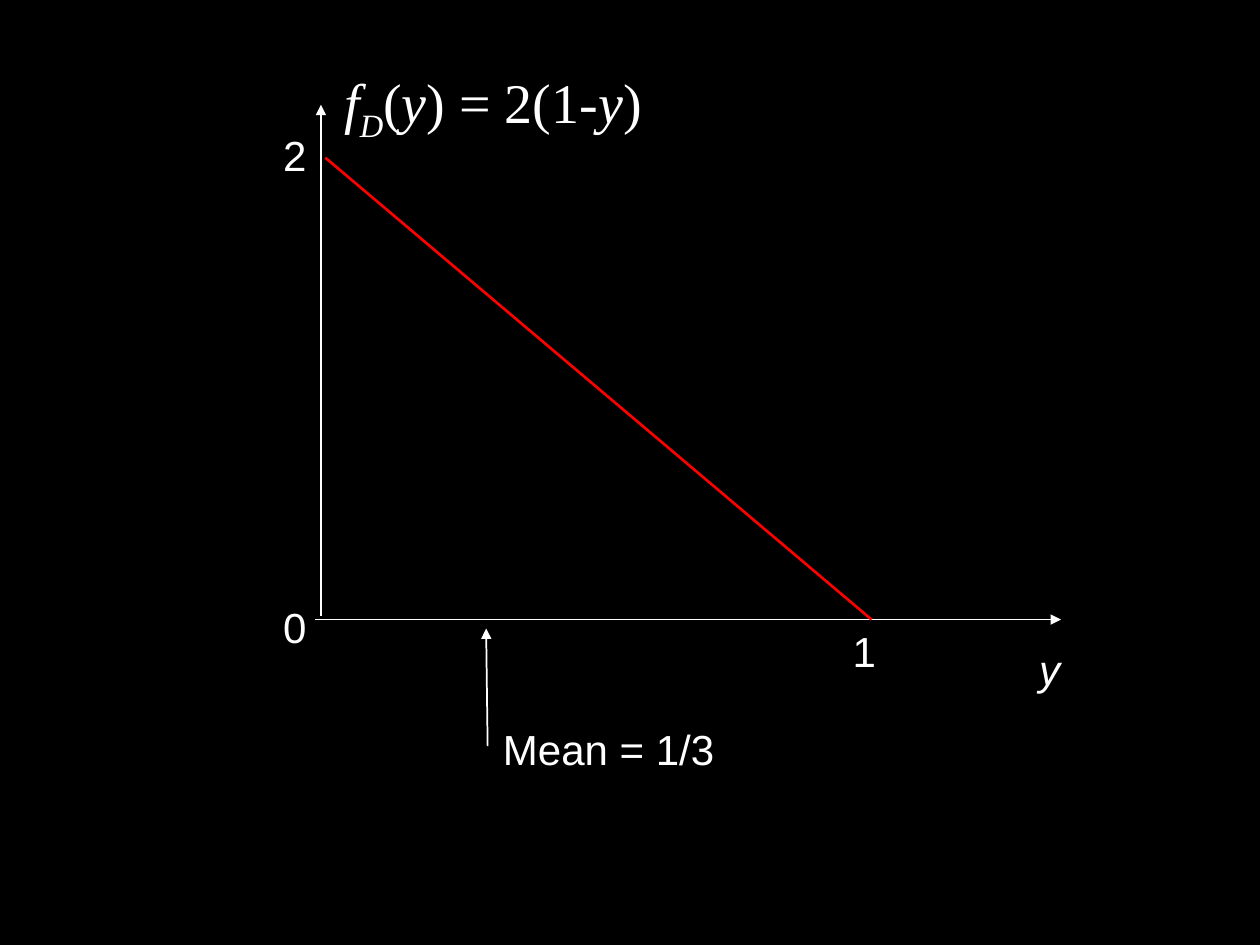
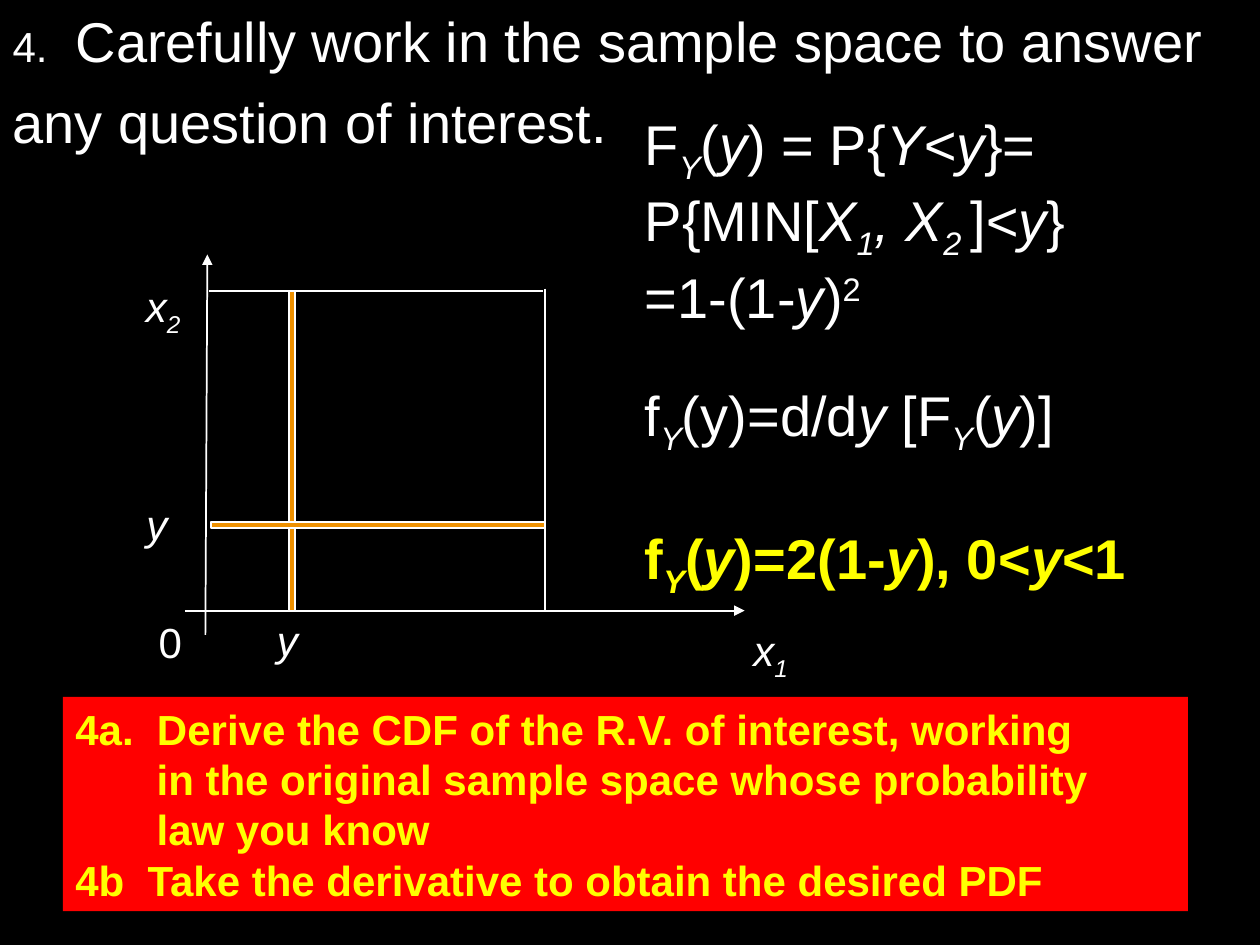
"""Build two slides on the density of the minimum of two uniform variables."""
from lxml import etree
from pptx import Presentation
from pptx.dml.color import RGBColor
from pptx.enum import shapes, text
from pptx.oxml import ns
from pptx.util import Cm, Pt

BLACK = RGBColor(0x00, 0x00, 0x00)
WHITE = RGBColor(0xFF, 0xFF, 0xFF)
RED = RGBColor(0xFF, 0x00, 0x00)
YELLOW = RGBColor(0xFF, 0xFF, 0x00)
ORANGE = RGBColor(0xEF, 0x91, 0x00)
BODY_FONT = "Arial"
FORMULA_FONT = "Times New Roman"
TITLE_ONLY, BLANK = 5, 6
BASELINES = {"_": "-25000", "^": "30000"}


def add_slide(deck, layout):
    """Add a slide with the shared black background."""
    slide = deck.slides.add_slide(deck.slide_layouts[layout])
    slide.background.fill.solid()
    slide.background.fill.fore_color.rgb = BLACK
    return slide


def child(parent, tag, **attributes):
    """Append a DrawingML element."""
    return etree.SubElement(parent, ns.qn(tag), **attributes)


def write(frame, content, size=24, color=WHITE, font=BODY_FONT, bold=False,
          before=0, indent=0, number=None):
    """Add a paragraph of runs split by |, led by / italic, _ subscript or ^ superscript."""
    paragraph = frame.paragraphs[0]
    if paragraph.runs:
        paragraph = frame.add_paragraph()
    properties = paragraph._p.get_or_add_pPr()
    if number:
        child(child(properties, "a:buClr"), "a:srgbClr", val=str(color))
        child(properties, "a:buSzPct", val="75000")
        child(properties, "a:buAutoNum", type="arabicPeriod", startAt=str(number))
    if indent:
        properties.set("marL", str(Cm(indent)))
    paragraph.alignment = text.PP_ALIGN.LEFT
    if before:
        paragraph.space_before = Pt(before)
    for part in content.split("|"):
        style = part[0] if part[0] in "/_^" else ""
        run = paragraph.add_run()
        run.text = part[len(style):]
        run.font.name, run.font.size = font, Pt(size)
        run.font.bold, run.font.italic = bold, style in ("/", "_")
        run.font.color.rgb = color
        if style in BASELINES:
            run._r.get_or_add_rPr().set("baseline", BASELINES[style])
    return paragraph


def fit(frame, wrap=False):
    """Start text at the top of a frame that grows with it."""
    frame.word_wrap = wrap
    frame.auto_size = text.MSO_AUTO_SIZE.SHAPE_TO_FIT_TEXT
    frame.vertical_anchor = text.MSO_ANCHOR.TOP
    return frame


def add_frame(slide, left, top, width, height):
    """Add an unwrapped text box and return its frame."""
    return fit(slide.shapes.add_textbox(Cm(left), Cm(top), Cm(width), Cm(height)).text_frame)


def add_label(slide, content, left, top, width=1, height=1.27, **style):
    """Add a one-line label."""
    write(add_frame(slide, left, top, width, height), content, **style)


def add_line(slide, start, end, color=WHITE, weight=1, arrow=False):
    """Draw a straight line, with an arrowhead at its end if asked."""
    line = slide.shapes.add_connector(
        shapes.MSO_CONNECTOR.STRAIGHT, *(Cm(value) for value in (*start, *end)))
    line.line.color.rgb = color
    line.line.width = Pt(weight)
    if arrow:
        child(line.line._get_or_add_ln(), "a:tailEnd", type="triangle")
    child(line._element.spPr, "a:effectLst")


def add_block(slide, left, top, width, height, fill, outline=None):
    """Add a filled rectangle."""
    block = slide.shapes.add_shape(
        shapes.MSO_SHAPE.RECTANGLE, Cm(left), Cm(top), Cm(width), Cm(height))
    block.shadow.inherit = False
    block.fill.solid()
    block.fill.fore_color.rgb = fill
    if outline is None:
        block.line.fill.background()
    else:
        block.line.color.rgb = outline
        block.line.width = Pt(1)
    return block


def build_density(deck):
    """Plot the triangular density and mark its mean."""
    slide = add_slide(deck, BLANK)
    axis_y = 12.49
    add_label(slide, "/f|_D|(|/y|) = 2(1-|/y|)", 6.69, 1.24, 6.7, 1.8,
              size=32, font=FORMULA_FONT)
    add_line(slide, (6.47, 12.42), (6.47, 2.11), arrow=True)
    add_line(slide, (6.35, axis_y), (21.39, axis_y), arrow=True)
    add_line(slide, (6.56, 3.18), (17.57, axis_y), RED, 1.5)
    add_line(slide, (9.83, 15.04), (9.8, 12.67), arrow=True)
    add_label(slide, "/y", 20.7, 12.85)
    add_label(slide, "2", 5.46, 2.49)
    add_label(slide, "0", 5.46, 12.01)
    add_label(slide, "1", 16.94, axis_y)
    add_label(slide, "Mean = 1/3", 9.89, 14.46, 4.95)


def add_heading(slide):
    """Place and number the heading of the step."""
    heading = slide.shapes.title
    heading.left, heading.top, heading.width, heading.height = 0, 0, Cm(24.9), Cm(3.25)
    frame = fit(heading.text_frame)
    lines = (("Carefully work in the sample space to answer", 4, 0),
             ("any question of interest.", None, 8))
    for content, number, before in lines:
        paragraph = write(frame, content, size=32, indent=1.27, number=number, before=before)
        paragraph._p.get_or_add_pPr().set("indent", str(-Cm(1.27)))


def add_sample_space(slide):
    """Draw the unit square with the strips at y."""
    axis_y, top, right = 12.31, 5.87, 10.99
    add_line(slide, (4.14, 12.8), (4.18, 5.13), arrow=True)
    add_line(slide, (3.73, axis_y), (15.01, axis_y), arrow=True)
    add_line(slide, (4.22, top), (10.95, top))
    add_line(slide, (right, 5.82), (right, axis_y))
    add_block(slide, 5.82, top, 0.13, axis_y - top, ORANGE, WHITE)
    add_block(slide, 4.26, 10.52, right - 4.26, 0.13, ORANGE, WHITE)
    add_label(slide, "/x|_1", 14.94, 12.47, 1.4, 1.42)
    add_label(slide, "/x|_2", 2.69, 5.54, 1.4, 1.42)
    add_label(slide, "0", 2.95, 12.3)
    add_label(slide, "/y", 5.33, 12.27)
    add_label(slide, "/y", 2.7, 9.93)


def build_derivation(deck):
    """Derive the density from the sample space."""
    slide = add_slide(deck, TITLE_ONLY)
    add_heading(slide)
    add_sample_space(slide)

    advice = fit(add_block(slide, 1.27, 14.05, 22.68, 4.32, RED).text_frame, wrap=True)
    for content, indent in (
            ("4a.  Derive the CDF of the R.V. of interest, working", 0),
            ("in the original sample space whose probability", 1.64),
            ("law you know", 1.64),
            ("4b  Take the derivative to obtain the desired PDF", 0)):
        write(advice, content, color=YELLOW, bold=True, indent=indent)

    derivation = add_frame(slide, 12.75, 2.08, 10.7, 11.51)
    for content, before in (
            ("F|_Y|(|/y|) = P{|/Y<y|}=", 0),
            ("P{MIN[|/X|_1|/, X|_2 |]|/<y|}", 0),
            ("=1-(1-|/y|)|^2", 0),
            ("f|_Y|(y)=d/d|/y| [F|_Y|(|/y|)]", 29)):
        write(derivation, content, size=32, before=before)
    write(derivation, "f|_Y|(|/y|)=2(1-|/y|), 0<|/y|<1", size=32, color=YELLOW,
          bold=True, before=38)


def main():
    """Build and save the deck."""
    deck = Presentation()
    deck.slide_width, deck.slide_height = Cm(25.4), Cm(19.05)
    build_density(deck)
    build_derivation(deck)
    deck.save("out.pptx")


if __name__ == "__main__":
    main()
